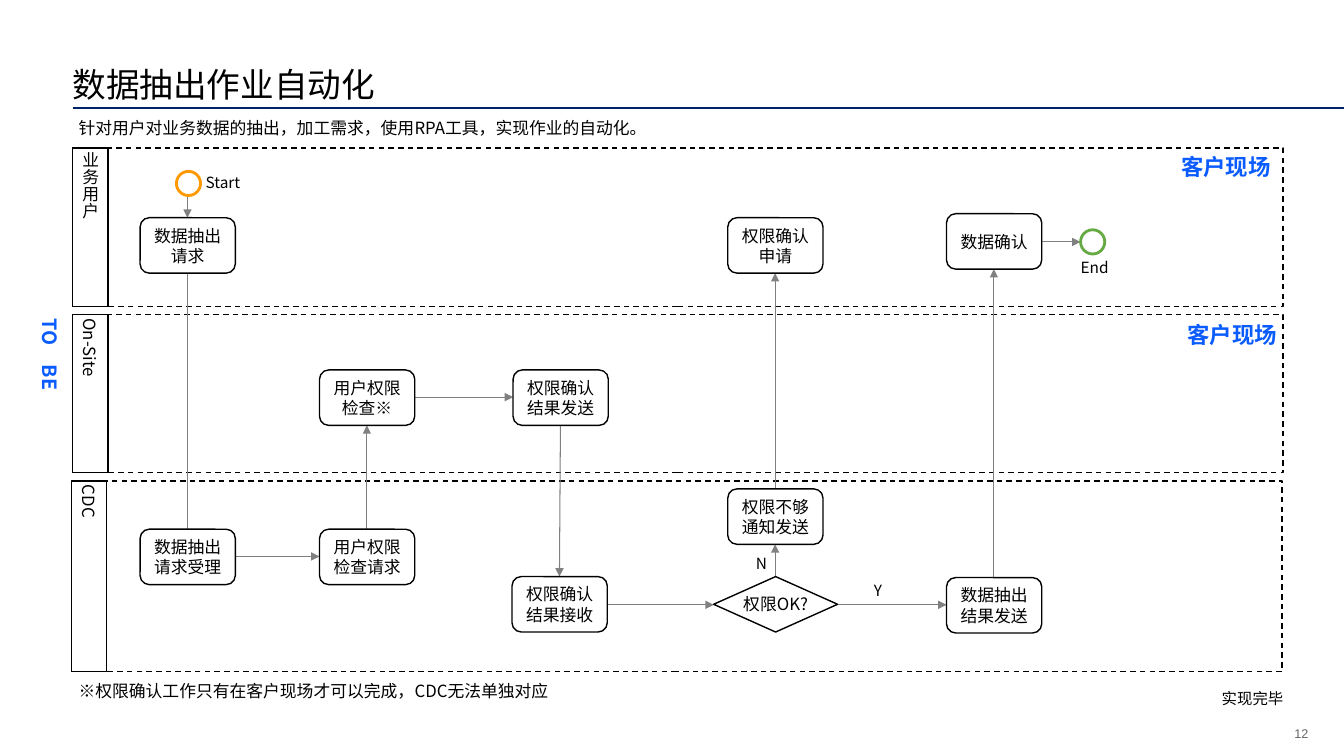
from lxml.etree import SubElement
from pptx import Presentation
from pptx.dml.color import RGBColor
from pptx.enum.dml import MSO_LINE
from pptx.enum.shapes import MSO_CONNECTOR, MSO_SHAPE
from pptx.enum.text import MSO_ANCHOR, PP_ALIGN
from pptx.oxml.ns import qn
from pptx.util import Inches, Pt

COLORS = {"white": "FFFFFF", "ink": "000000", "navy": "002266", "blue": "0A5CFF",
          "arrow": "808080", "start": "FF9900", "end": "66AA44", "page": "666666"}
CJK = "Noto Sans CJK SC"
CELL = 0.1  # inches in one grid column or row
COLS, ROWS = 133.33, 75

# Text frame formats: margins in grid cells
BOX_TEXT = {"margins": (0.8, 0.4, 0.8, 0.4), "anchor": MSO_ANCHOR.MIDDLE,
            "wrap": False, "align": PP_ALIGN.CENTER}
NOTE_TEXT = {"margins": (0.8, 0.5, 0.8, 0.5), "indent": 1}
TITLE_TEXT = {"margins": (0, 0.5, 1, 0), "anchor": MSO_ANCHOR.BOTTOM}
PAGE_TEXT = {"margins": (1, 0.5, 0, 0.5), "anchor": MSO_ANCHOR.MIDDLE,
             "align": PP_ALIGN.RIGHT}


def cells(n):
    return Inches(n * CELL)


def rgb(name):
    return RGBColor.from_string(COLORS[name])


def assign(target, values):
    for name, value in values.items():
        setattr(target, name, value)


class FlowSlide:
    def __init__(self, prs):
        self.s = prs.slides.add_slide(prs.slide_layouts[6])

    def set_text(self, sp, text, margins, size=12, color="ink", bold=False, font=CJK,
                 anchor=MSO_ANCHOR.TOP, wrap=True, align=PP_ALIGN.LEFT, indent=0,
                 vertical=False):
        tf = sp.text_frame
        sides = ("margin_left", "margin_top", "margin_right", "margin_bottom")
        assign(tf, {"word_wrap": wrap, "vertical_anchor": anchor,
                    **dict(zip(sides, map(cells, margins)))})
        if vertical:
            tf._txBody.bodyPr.set("vert", "eaVert")
        for i, line in enumerate(text.split("\n")):
            p = tf.add_paragraph() if i else tf.paragraphs[0]
            p.alignment = align
            if indent:
                p._p.get_or_add_pPr().set("marL", str(cells(indent)))
            r = p.add_run()
            r.text = line
            assign(r.font, {"name": font, "size": Pt(size), "bold": bold})
            r.font.color.rgb = rgb(color)
            SubElement(r._r.get_or_add_rPr(), qn("a:ea")).set("typeface", font)

    def text(self, col, row, width, height, text, **style):
        sp = self.s.shapes.add_textbox(*map(cells, (col, row, width, height)))
        self.set_text(sp, text, **style)

    def shape(self, kind, col, row, width, height, text="", line="ink", weight=1,
              dash=None, **style):
        sp = self.s.shapes.add_shape(kind, *map(cells, (col, row, width, height)))
        sp.shadow.inherit = False
        sp.fill.solid()
        sp.fill.fore_color.rgb = rgb("white")
        if line:
            sp.line.color.rgb = rgb(line)
            assign(sp.line, {"width": Pt(weight), "dash_style": dash})
        else:
            sp.line.fill.background()
        if text:
            self.set_text(sp, text, **{**BOX_TEXT, **style})

    def line(self, col1, row1, col2, row2, color="arrow", weight=0.75, arrow=True):
        ends = map(cells, (col1, row1, col2, row2))
        cx = self.s.shapes.add_connector(MSO_CONNECTOR.STRAIGHT, *ends)
        cx.line.color.rgb = rgb(color)
        cx.line.width = Pt(weight)
        if arrow:
            SubElement(cx.line._get_or_add_ln(), qn("a:tailEnd")).set("type", "triangle")
        SubElement(cx._element.spPr, qn("a:effectLst"))

    def lane(self, col, row, height, name):
        self.shape(MSO_SHAPE.RECTANGLE, col, row, 120.1, height, dash=MSO_LINE.DASH)
        self.shape(MSO_SHAPE.RECTANGLE, col, row, 3.5, height, name, vertical=True)

    def step(self, col, row, text):
        self.shape(MSO_SHAPE.ROUNDED_RECTANGLE, col, row, 9.45, 5.5, text)

    def event(self, col, row, color):
        self.shape(MSO_SHAPE.OVAL, col, row, 2.4, 2.4, line=color, weight=2)


LANES = [(7.2, 14.7, 15.7, "业务用户"), (7.2, 31.2, 15.7, "On-Site"),
         (7.1, 47.7, 18.9, "CDC")]
ARROWS = [
    (18.6, 19.3, 18.6, 21.6), (18.6, 27.1, 18.6, 54.3),
    (23.4, 55.2, 31.7, 55.2), (36.4, 52.5, 36.4, 42.2),
    (41.1, 39.4, 50.9, 39.4), (55.6, 42.2, 55.5, 57.2),
    (60.2, 60, 70.8, 60), (76.9, 57.2, 76.9, 54),
    (76.9, 48.5, 76.9, 27.1), (83.1, 60, 93.9, 60),
    (98.6, 57.3, 98.6, 26.7), (103.3, 24, 107.2, 24),
]
STEPS = [
    (13.9, 21.6, "数据抽出\n请求"), (13.9, 52.5, "数据抽出\n请求受理"),
    (31.7, 52.5, "用户权限\n检查请求"), (31.7, 36.7, "用户权限\n检查※"),
    (50.9, 36.7, "权限确认\n结果发送"), (50.8, 57.2, "权限确认\n结果接收"),
    (72.2, 48.5, "权限不够\n通知发送"), (72.2, 21.6, "权限确认\n申请"),
    (93.9, 57.3, "数据抽出\n结果发送"), (93.9, 21.2, "数据确认"),
]
LABELS = [(73.2, 54.5, 6, "N"), (84.9, 57.2, 5.7, "Y"),
          (105.4, 25.1, 6.3, "End"), (18.6, 16.7, 6.3, "Start"),
          (119.4, 67.9, 12.4, "实现完毕")]
SITES = [(115.4, 14.7), (116, 31.4)]
NOTES = [(9.9, "针对用户对业务数据的抽出，加工需求，使用RPA工具，实现作业的自动化。"),
         (65.8, "※权限确认工作只有在客户现场才可以完成，CDC无法单独对应")]


def main():
    prs = Presentation()
    assign(prs, {"slide_width": cells(COLS), "slide_height": cells(ROWS)})
    flow = FlowSlide(prs)

    # Title, rule and page number
    flow.line(7.2, 10.7, COLS, 10.7, "navy", 1, arrow=False)
    flow.text(7.2, 0, 118.9, 10.3, "数据抽出作业自动化", size=24, **TITLE_TEXT)
    flow.text(122.4, 71.9, 7.4, 1.7, "12", size=9, color="page", font="Arial", **PAGE_TEXT)

    # Swimlanes and their side heading
    for lane in LANES:
        flow.lane(*lane)
    flow.shape(MSO_SHAPE.RECTANGLE, 3.2, 31.2, 3.5, 15.7, "TO　BE",
               line=None, size=14, color="blue", bold=True, vertical=True)

    # Arrows lie behind the steps
    for arrow in ARROWS:
        flow.line(*arrow)

    # Steps, decision, start and end
    for step in STEPS:
        flow.step(*step)
    flow.shape(MSO_SHAPE.FLOWCHART_DECISION, 70.8, 57.2, 12.3, 5.5, "权限OK?")
    flow.event(17.5, 17, "start")
    flow.event(107.2, 22.8, "end")

    # Labels and notes
    for col, row, width, label in LABELS:
        flow.text(col, row, width, 2.5, label, size=11, **NOTE_TEXT)
    for col, row in SITES:
        flow.text(col, row, 16, 3.2, "客户现场", size=16, color="blue", bold=True, **NOTE_TEXT)
    for row, note in NOTES:
        flow.text(6, row, 93.6, 5.5, note, anchor=MSO_ANCHOR.MIDDLE, **NOTE_TEXT)

    prs.save("out.pptx")


if __name__ == "__main__":
    main()
